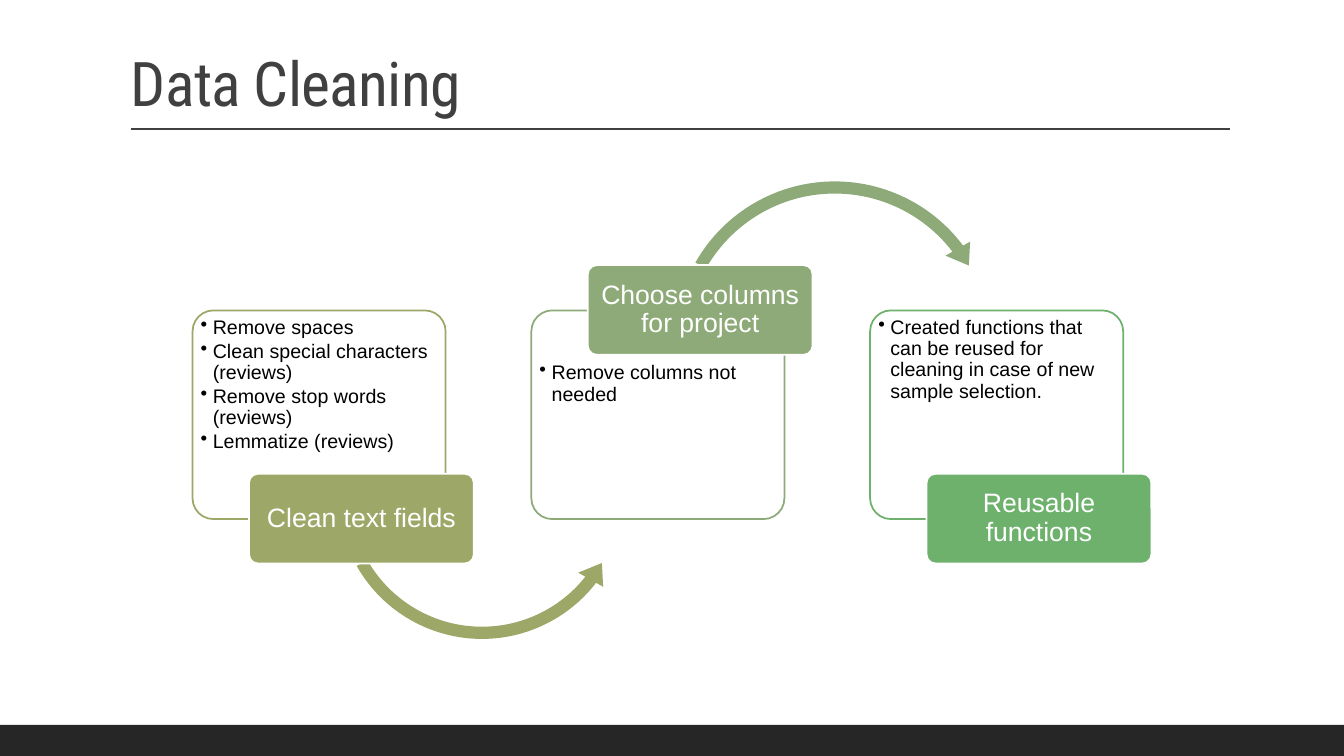
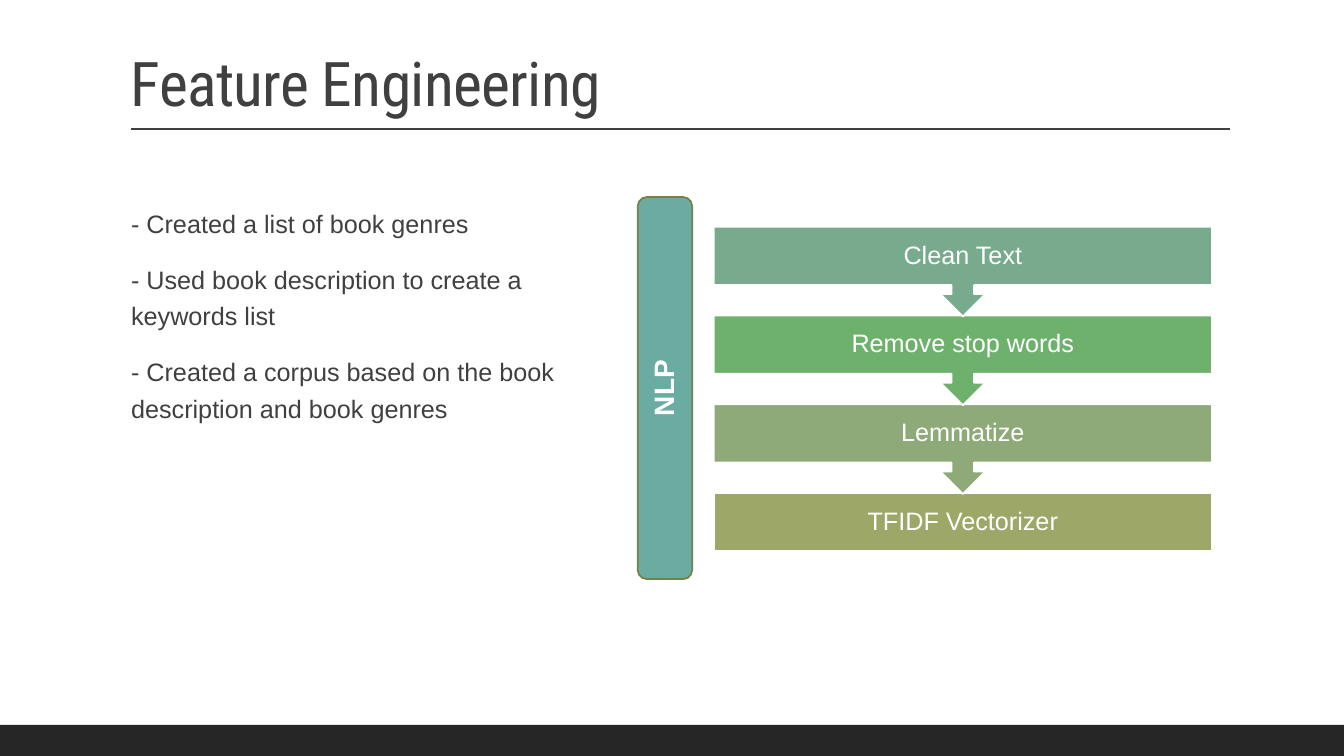
from dataclasses import dataclass

from lxml import etree
from pptx import Presentation
from pptx import util as u
from pptx.dml.color import RGBColor
from pptx.enum import shapes, text
from pptx.oxml.ns import qn

PX = 9144  # 100 px to the inch
FORM = shapes.MSO_SHAPE
ALIGN = text.PP_ALIGN
ANCHOR = text.MSO_ANCHOR


@dataclass(frozen=True)
class Theme:
    white: str = "FFFFFF"
    black: str = "000000"
    ink: str = "404040"
    band: str = "262626"
    olive: str = "9DA767"
    sage: str = "8DAA78"
    green: str = "6EB16D"
    mint: str = "78AA8D"
    teal: str = "6AACA1"
    edge: str = "78804A"
    head: str = "Roboto Condensed"
    body: str = "Arial"
    title: int = 44
    bar: int = 20
    label: int = 19
    copy: int = 18
    note: int = 14
    stroke: float = 1.25


def rgb(code):
    return RGBColor.from_string(code)


def write(shape, lines, *, size, color, font=Theme.body, bold=False,
          align=ALIGN.LEFT, anchor=ANCHOR.TOP, inset=(0, 0, 0, 0),
          leading=0.9, before=0, after=0, bullet=0, track=0):
    """Fill a shape with one paragraph a line; inset is left, top, right, bottom."""
    frame = shape.text_frame
    frame.word_wrap = True
    frame.vertical_anchor = anchor
    (frame.margin_left, frame.margin_top,
     frame.margin_right, frame.margin_bottom) = [n * PX for n in inset]
    for i, line in enumerate(lines):
        para = frame.paragraphs[0] if i == 0 else frame.add_paragraph()
        para.alignment = align
        para.line_spacing = leading
        para.space_before = u.Pt(before if i else 0)
        para.space_after = u.Pt(after)
        if bullet:
            props = para._p.get_or_add_pPr()
            props.set("marL", str(bullet * PX))
            props.set("indent", str(-bullet * PX))
            etree.SubElement(props, qn("a:buChar")).set("char", "•")
        run = para.add_run()
        run.text = line
        run.font.name = font
        run.font.size = u.Pt(size)
        run.font.bold = bold
        run.font.color.rgb = rgb(color)
        if track:
            run._r.get_or_add_rPr().set("spc", str(track))


class Deck:
    def __init__(self, theme):
        self.theme = theme
        self.file = Presentation()
        self.file.slide_width = 1333 * PX
        self.file.slide_height = 750 * PX
        self.slide = None

    def page(self, title):
        """Start a slide with the shared band, rule and title."""
        t = self.theme
        self.slide = self.file.slides.add_slide(self.file.slide_layouts[6])
        self.shape(FORM.RECTANGLE, (0, 719, 1333, 31), t.band)
        self.rule(130, 128, 1220)
        write(self.box(120, 31, 1100, 93), [title], size=t.title, color=t.ink,
              font=t.head, anchor=ANCHOR.BOTTOM, inset=(10, 5, 10, 5), track=-50)

    def shape(self, form, place, fill, line=None, adjust=(), turn=0):
        item = self.slide.shapes.add_shape(form, *[n * PX for n in place])
        item.shadow.inherit = False
        item.rotation = turn
        item.fill.solid()
        item.fill.fore_color.rgb = rgb(fill)
        if line:
            item.line.color.rgb = rgb(line)
            item.line.width = u.Pt(self.theme.stroke)
        else:
            item.line.fill.background()
        for i, value in enumerate(adjust):
            item.adjustments[i] = value
        return item

    def rule(self, left, top, right):
        line = self.slide.shapes.add_connector(
            shapes.MSO_CONNECTOR.STRAIGHT, left * PX, top * PX, right * PX, top * PX)
        line.line.color.rgb = rgb(self.theme.ink)
        line.line.width = u.Pt(1)
        etree.SubElement(line._element.spPr, qn("a:effectLst"))

    def box(self, *place):
        return self.slide.shapes.add_textbox(*[n * PX for n in place])

    def label(self, shape, words, size, **style):
        write(shape, [words], size=size, color=self.theme.white,
              align=ALIGN.CENTER, anchor=ANCHOR.MIDDLE, **style)

    def card(self, left, name, notes, color, high=False, arrow=None):
        """Draw an outlined card, its arrow, and its label at the top or bottom."""
        t = self.theme
        card = self.shape(FORM.ROUNDED_RECTANGLE, (left, 308, 251, 207),
                          t.white, color, [0.1])
        write(card, notes, size=t.note, color=t.black, after=2, bullet=12,
              inset=(2, 46 if high else 1, 2, 1))
        if arrow:
            form, place, adjust = arrow
            self.shape(form, place, color, adjust=adjust)
        tag = self.shape(FORM.ROUNDED_RECTANGLE,
                         (left + 56, 263 if high else 470, 223, 89),
                         color, t.white, [0.1])
        self.label(tag, name, t.label, inset=(4, 3, 4, 3))

    def step(self, top, name, color, last=False):
        form = FORM.RECTANGLE if last else FORM.DOWN_ARROW_CALLOUT
        item = self.shape(form, (708, top, 494, 58 if last else 89),
                          color, self.theme.white)
        self.label(item, name, self.theme.copy, inset=(14, 0, 14, 0))


def cleaning(deck):
    t = deck.theme
    deck.page("Data Cleaning")
    under = (FORM.LEFT_CIRCULAR_ARROW, (327, 340, 302, 302),
             [0.04, 5.018, 22.773, 90.245, 0.047])
    over = (FORM.CIRCULAR_ARROW, (661, 172, 334, 334),
            [0.036, 4.495, 193.749, 125.755, 0.042])
    cards = [
        ("Clean text fields",
         ["Remove spaces", "Clean special characters (reviews)",
          "Remove stop words (reviews)", "Lemmatize (reviews)"],
         t.olive, False, under),
        ("Choose columns for project", ["Remove columns not needed"],
         t.sage, True, over),
        ("Reusable functions",
         ["Created functions that can be reused for cleaning in case of "
          "new sample selection."],
         t.green, False, None),
    ]
    for i, card in enumerate(cards):
        deck.card(191 + 336 * i, *card)


def features(deck):
    t = deck.theme
    deck.page("Feature Engineering")
    bar = deck.shape(FORM.ROUNDED_RECTANGLE, (470, 358, 379, 54),
                     t.teal, t.edge, turn=270)
    deck.label(bar, "NLP", t.bar, bold=True, inset=(8, 8, 8, 8))
    write(deck.box(130, 196, 495, 411),
          ["- Created a list of book genres",
           "- Used book description to create a keywords list",
           "- Created a corpus based on the book description and book genres"],
          size=t.copy, color=t.ink, leading=1.2, before=12, after=2,
          inset=(0, 5, 0, 5))
    steps = [("Clean Text", t.mint), ("Remove stop words", t.green),
             ("Lemmatize", t.sage), ("TFIDF Vectorizer", t.olive)]
    for i, (name, color) in reversed(list(enumerate(steps))):
        deck.step(225 + 88 * i, name, color, last=i == len(steps) - 1)


def main():
    deck = Deck(Theme())
    cleaning(deck)
    features(deck)
    deck.file.save("out.pptx")


if __name__ == "__main__":
    main()
